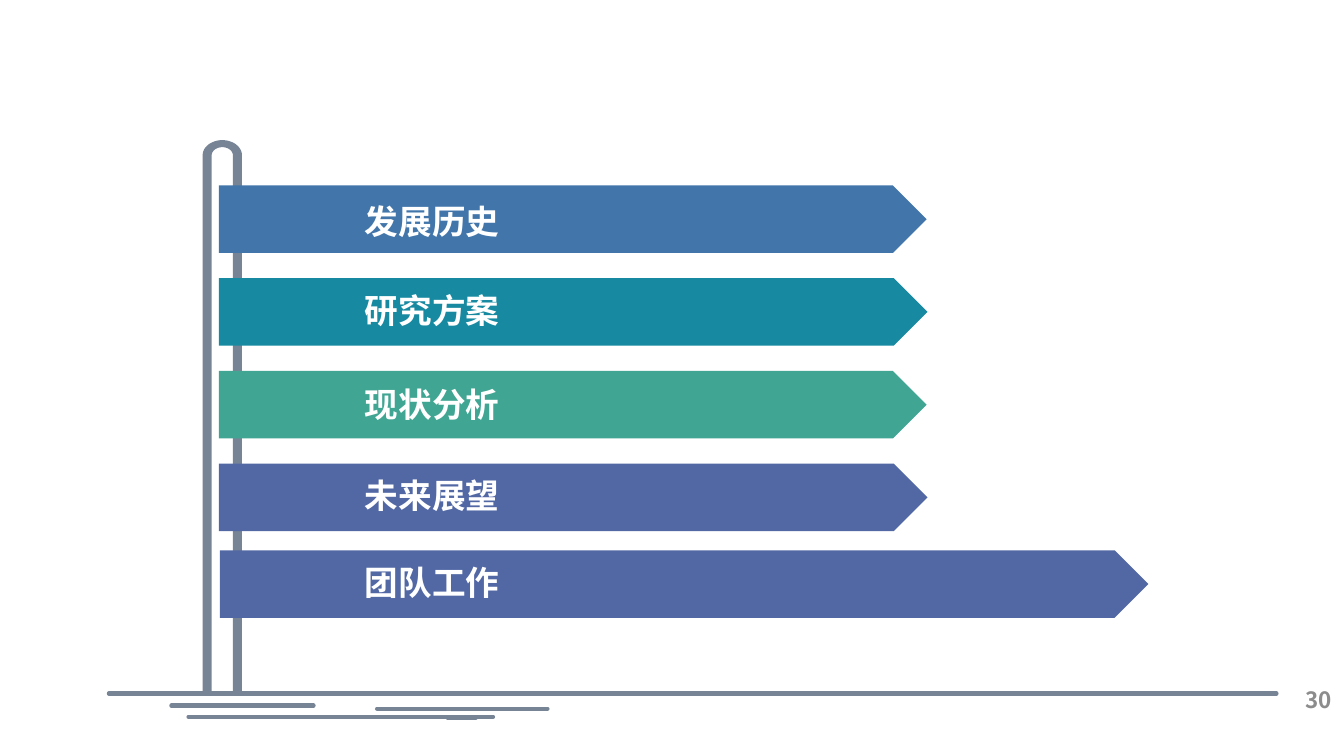
from math import cos, pi, sin

from lxml import etree
from pptx import Presentation
from pptx.dml.color import RGBColor
from pptx.enum.shapes import MSO_CONNECTOR as Connector, MSO_SHAPE as Shape
from pptx.enum.text import MSO_ANCHOR as Anchor, PP_ALIGN as Align
from pptx.oxml.ns import qn
from pptx.util import Inches, Pt

# Content
FONT = "Noto Sans CJK SC"
COLORS = {
    "post": "778495",
    "blue": "4276AA",
    "teal": "178AA1",
    "green": "40A693",
    "indigo": "5268A5",
    "label": "FFFFFF",
    "number": "8C8C8C",
}
# label, colour, left, top, width, label top
SIGNS = [
    ("发展历史", "blue", 2.17, 1.84, 7.02, 1.94),
    ("研究方案", "teal", 2.17, 2.76, 7.03, 2.83),
    ("现状分析", "green", 2.17, 3.68, 7.02, 3.76),
    ("未来展望", "indigo", 2.17, 4.6, 7.03, 4.66),
    ("团队工作", "indigo", 2.18, 5.46, 9.21, 5.53),
]
SIGN_HEIGHT = 0.67
LABEL_LEFT, LABEL_WIDTH, LABEL_HEIGHT = 3.52, 3.15, 0.5
# left end, right end, height on the slide
GROUND_LINES = [
    (1.36, 12.66, 6.88),
    (1.08, 1.47, 6.88),
    (5.04, 5.38, 7.03),
    (3.74, 5.43, 7.03),
    (2.14, 4.89, 7.11),
    (1.87, 2.21, 7.11),
    (1.7, 3.11, 7),
    (4.44, 4.72, 7.12),
]
POST_CENTER, POST_SHOULDER, POST_FOOT = 2.205, 1.54, 6.88
POST_OUTER, POST_INNER = (0.195, 0.15), (0.105, 0.08)
ARC_STEPS = 24
PAGE_NUMBER = "30"


def color(name):
    return RGBColor.from_string(COLORS[name])


def paint(shape, name):
    shape.shadow.inherit = False
    shape.fill.solid()
    shape.fill.fore_color.rgb = color(name)
    shape.line.fill.background()


def arch(radii):
    """Points from the left foot over the top to the right foot."""
    across, up = radii
    angles = [pi - pi * step / ARC_STEPS for step in range(ARC_STEPS + 1)]
    curve = [(POST_CENTER + across * cos(angle), POST_SHOULDER - up * sin(angle))
             for angle in angles]
    return [(POST_CENTER - across, POST_FOOT), *curve, (POST_CENTER + across, POST_FOOT)]


def add_text(slide, text, box, size, name, align=Align.LEFT, anchor=Anchor.TOP):
    frame = slide.shapes.add_textbox(*map(Inches, box)).text_frame
    frame.word_wrap = True
    frame.vertical_anchor = anchor
    paragraph = frame.paragraphs[0]
    paragraph.alignment = align
    run = paragraph.add_run()
    run.text = text
    for key, value in {"name": FONT, "size": Pt(size), "bold": True}.items():
        setattr(run.font, key, value)
    run.font.color.rgb = color(name)
    etree.SubElement(run._r.get_or_add_rPr(), qn("a:ea"), typeface=FONT)


def add_ground_line(slide, left, right, height):
    line = slide.shapes.add_connector(
        Connector.STRAIGHT, *map(Inches, (left, height, right, height)))
    line.line.color.rgb = color("post")
    line.line.width = Pt(3)
    properties = line._element.spPr
    properties.find(qn("a:ln")).set("cap", "rnd")
    etree.SubElement(properties, qn("a:effectLst"))


def main():
    presentation = Presentation()
    presentation.slide_width = Inches(13.33)
    presentation.slide_height = Inches(7.5)
    slide = presentation.slides.add_slide(presentation.slide_layouts[6])

    # Signpost: outer arch, then back along the inner one
    points = [(Inches(x), Inches(y)) for x, y in arch(POST_OUTER) + arch(POST_INNER)[::-1]]
    builder = slide.shapes.build_freeform(*points[0])
    builder.add_line_segments(points[1:], close=True)
    paint(builder.convert_to_shape(), "post")

    # Ground
    for ground_line in GROUND_LINES:
        add_ground_line(slide, *ground_line)

    # Signs with their labels
    for label, name, left, top, width, label_top in SIGNS:
        box = map(Inches, (left, top, width, SIGN_HEIGHT))
        paint(slide.shapes.add_shape(Shape.PENTAGON, *box), name)
        add_text(slide, label, (LABEL_LEFT, label_top, LABEL_WIDTH, LABEL_HEIGHT), 24, "label")

    # Page number
    add_text(slide, PAGE_NUMBER, (10.2, 6.74, 3.11, 0.4), 16, "number",
             Align.RIGHT, Anchor.MIDDLE)

    presentation.save("out.pptx")


if __name__ == "__main__":
    main()
